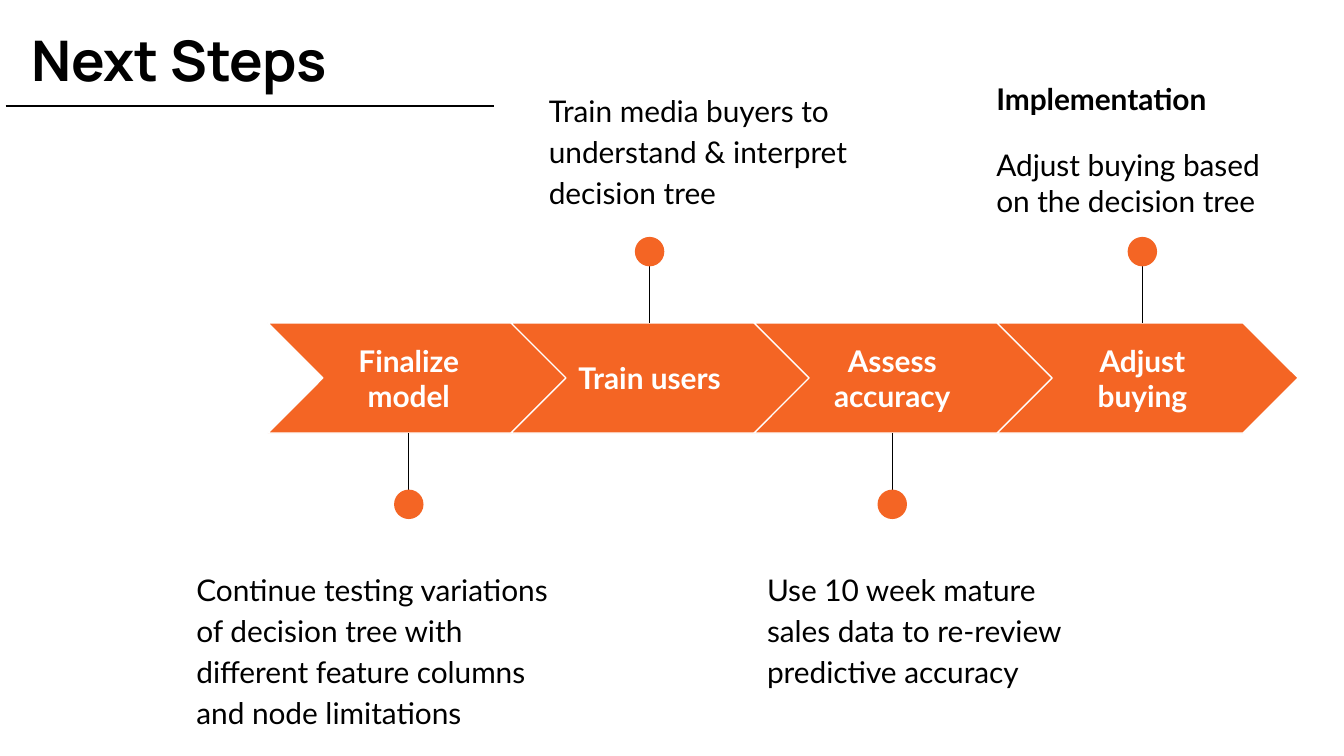
import pptx
import pptx.util
import pptx.dml.color
import pptx.enum.text
import pptx.enum.shapes
import pptx.oxml.ns
import lxml.etree
from dataclasses import dataclass

Pt = pptx.util.Pt
RGB = pptx.dml.color.RGBColor
ALIGN = pptx.enum.text.PP_ALIGN
ANCHOR = pptx.enum.text.MSO_ANCHOR
SHAPE = pptx.enum.shapes.MSO_SHAPE


@dataclass
class Theme:
    accent: RGB = RGB(0xF4, 0x65, 0x24)
    ink: RGB = RGB(0, 0, 0)
    paper: RGB = RGB(255, 255, 255)
    head: str = "Manrope"
    body: str = "Lato"
    big: int = 30
    text: int = 16
    rule: float = 0.75


THEME = Theme()

# Label, pin centre, True if the note is above, note box, note paragraphs
STEPS = [
    ("Finalize model", 219, False, (98, 296, 206.5, 71),
     ["Continue testing variations of decision tree with "
      "different feature columns and node limitations"]),
    ("Train users", 348, True, (286.8, 39.5, 176.5, 71),
     ["Train media buyers to understand & interpret decision tree"]),
    ("Assess accuracy", 478, False, (403.7, 296, 176.5, 71),
     ["Use 10 week mature sales data to re-review predictive accuracy"]),
    ("Adjust buying", 612, True, (526.5, 44.5, 176.5, 71),
     ["Implementation", "Adjust buying based on the decision tree"]),
]


def apply(item, values):
    for name, value in values.items():
        setattr(item, name, value)


def place(shape, box):
    sides = ("left", "top", "width", "height")
    apply(shape, {side: Pt(v) for side, v in zip(sides, box)})


def write(shape, lines, font, para, anchor):
    """Fill a text frame; font and para hold one dict per line."""
    frame = shape.text_frame
    apply(frame, {"word_wrap": True, "vertical_anchor": anchor,
                  "auto_size": pptx.enum.text.MSO_AUTO_SIZE.NONE})
    apply(frame, {"margin_" + side: Pt(7.2)
                  for side in ("left", "top", "right", "bottom")})
    frame.text = "\n".join(lines)
    for part, face, form in zip(frame.paragraphs, font, para):
        color = face.get("color", THEME.ink)
        apply(part, {"alignment": ALIGN.LEFT, "space_before": Pt(0),
                     "space_after": Pt(0), "line_spacing": 1.0, **form})
        run = part.runs[0].font
        apply(run, {"name": face.get("name", THEME.body),
                    "size": Pt(face.get("size", THEME.text)),
                    "bold": face.get("bold", False)})
        run.color.rgb = color
        # No bullet and no hanging indent
        props = part._p.get_or_add_pPr()
        props.set("marL", "0")
        props.set("indent", "0")
        lxml.etree.SubElement(props, pptx.oxml.ns.qn("a:buNone"))


def add_line(slide, x1, y1, x2, y2):
    line = slide.shapes.add_connector(
        pptx.enum.shapes.MSO_CONNECTOR.STRAIGHT, Pt(x1), Pt(y1), Pt(x2), Pt(y2))
    line.line.color.rgb = THEME.ink
    line.line.width = Pt(THEME.rule)
    lxml.etree.SubElement(line._element.spPr, pptx.oxml.ns.qn("a:effectLst"))


def add_solid(slide, kind, box, edge=None):
    shape = slide.shapes.add_shape(kind, *map(Pt, box))
    shape.shadow.inherit = False
    shape.fill.solid()
    shape.fill.fore_color.rgb = THEME.accent
    if edge is None:
        shape.line.fill.background()
    else:
        shape.line.color.rgb = edge
        shape.line.width = Pt(THEME.rule)
    return shape


def add_title(slide, box):
    x, y, w, h = box
    title = slide.shapes.title
    place(title, (x + 6.5, y, w, h))
    write(title, ["Next Steps"],
          [{"name": THEME.head, "size": THEME.big, "bold": True}],
          [{}], ANCHOR.BOTTOM)
    add_line(slide, x, y + h, x + w, y + h)


def add_note(holder, box, lines):
    place(holder, box)
    if len(lines) > 1:  # a bold heading over its text
        write(holder, lines, [{"bold": True}, {}],
              [{}, {"space_before": Pt(16), "space_after": Pt(16)}], ANCHOR.MIDDLE)
    else:
        write(holder, lines, [{}],
              [{"line_spacing": 1.15, "space_after": Pt(16)}], ANCHOR.TOP)


def add_pin(slide, x, edge, way):
    """Line and dot leaving the arrow's edge; way is -1 for up, 1 for down."""
    dot, reach = 15.8, 38.2
    mid = edge + way * reach
    add_line(slide, x, mid, x, edge)
    add_solid(slide, SHAPE.OVAL, (x - dot / 2, mid - dot / 2, dot, dot))


def add_flow(slide, box):
    """Row of overlapping chevrons with labels and pins."""
    x, y, w, h = box
    wide = 161.3
    step = (w - wide) / (len(STEPS) - 1)
    for i, (label, pin, above, _, _) in enumerate(STEPS):
        add_solid(slide, SHAPE.CHEVRON, (x + i * step, y, wide, h), THEME.paper)
        name = slide.shapes.add_textbox(
            *map(Pt, (pin - 52, y + 11.2, 104, h - 22.4)))
        write(name, [label], [{"bold": True, "color": THEME.paper}],
              [{"alignment": ALIGN.CENTER}], ANCHOR.MIDDLE)
        add_pin(slide, pin, y if above else y + h, -1 if above else 1)


def main():
    deck = pptx.Presentation()
    apply(deck, {"slide_width": Pt(720), "slide_height": Pt(405)})
    # The comparison layout holds a title and four body placeholders
    slide = deck.slides.add_slide(deck.slide_layouts[4])
    add_title(slide, (3, 3.6, 261.4, 53.2))
    add_flow(slide, (143.5, 173, 552, 59))
    bodies = [p for p in slide.placeholders if p.placeholder_format.idx > 0]
    for holder, (_, _, _, box, lines) in zip(bodies, STEPS):
        add_note(holder, box, lines)
    deck.save("out.pptx")


if __name__ == "__main__":
    main()
